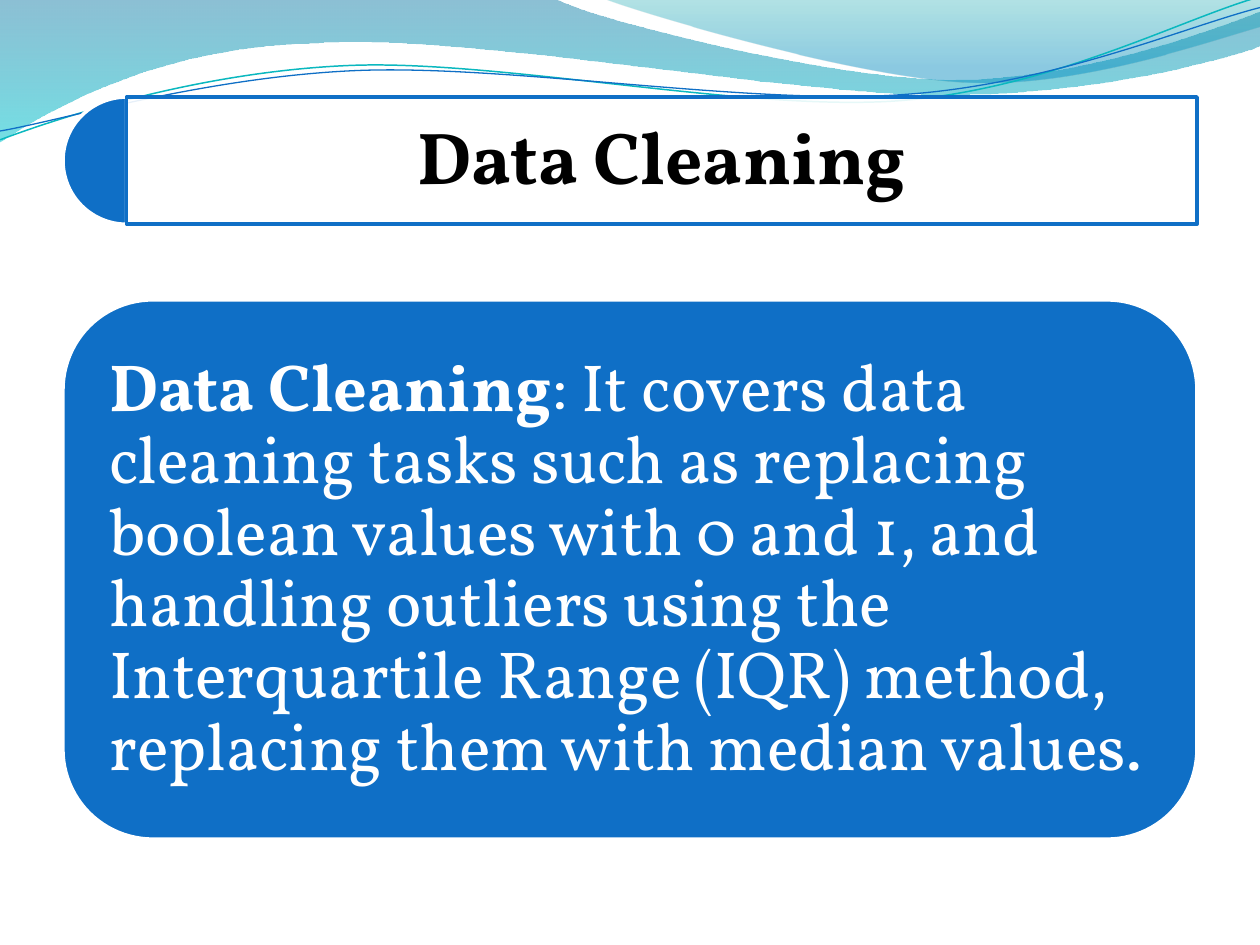
from math import cos, radians, sin

from lxml import etree
from pptx import Presentation
from pptx.dml.color import RGBColor
from pptx.enum.shapes import MSO_SHAPE
from pptx.enum.text import MSO_ANCHOR, MSO_AUTO_SIZE, PP_ALIGN
from pptx.oxml.ns import qn
from pptx.util import Inches, Pt

COLORS = {
    "blue": "0F6FC6", "teal": "0AB8BF", "white": "FFFFFF", "black": "000000",
    "wave_top": "0074A1", "wave_bottom": "00C6CF",
    "crest_top": "00A1A9", "crest_bottom": "008BBF",
}
FONT = "Vollkorn"
LINE_TILT = -2.7
LINE_CENTER = (4.99, 0.58)

# Each outline is a start point, then segments of one point (line) or three (curve)
WAVE = [[(0, 0)], [(4.4, -0.01)],
        [(4.76, 0.17), (6.64, 0.63), (7.58, 0.63)],
        [(8.53, 0.63), (9.58, 0.26), (10, 0.09)], [(10.01, 0.36)],
        [(9.83, 0.44), (8.7, 0.76), (7.46, 0.75)],
        [(6.22, 0.75), (3.82, 0.28), (2.57, 0.34)],
        [(1.29, 0.36), (0.46, 0.83), (-0.01, 1.13)]]
CREST = [[(4.79, -0.01)], [(5.09, 0.11), (6.82, 0.62), (7.69, 0.65)],
         [(8.56, 0.69), (9.61, 0.32), (10, 0.21)], [(10, 0)]]
TEAL_LINE = [[(0, 1.11)], [(0.48, 0.93), (1.58, 0.57), (2.77, 0.52)],
             [(3.95, 0.47), (5.93, 0.89), (7.13, 0.8)],
             [(8.33, 0.71), (9.38, 0.15), (9.98, -0.02)]]
BLUE_LINE = [[(0, 1.04)], [(0.47, 0.96), (1.64, 0.61), (2.83, 0.56)],
             [(4.03, 0.51), (5.97, 0.84), (7.17, 0.75)],
             [(8.36, 0.67), (9.41, 0.21), (10, 0.06)]]


def rgb(name):
    return RGBColor.from_string(COLORS[name])


def set_alpha(parent, percent):
    for color in parent.iter(qn("a:srgbClr")):
        etree.SubElement(color, qn("a:alpha"), val=str(percent * 1000))


def fill_and_line(sp, fill, line, width):
    sp.fill.solid()
    sp.fill.fore_color.rgb = rgb(fill)
    sp.line.color.rgb = rgb(line)
    sp.line.width = Pt(width)


def level(outline):
    """Take the tilt out of an outline, so that the shape can carry it."""
    cx, cy = LINE_CENTER
    c, n = cos(radians(-LINE_TILT)), sin(radians(-LINE_TILT))
    return [[(cx + (x - cx) * c - (y - cy) * n, cy + (x - cx) * n + (y - cy) * c)
             for x, y in segment] for segment in outline]


def add_outline(s, outline, left, top, close):
    segments = [[(Inches(left + x), Inches(top + y)) for x, y in segment]
                for segment in outline]
    builder = s.shapes.build_freeform(*segments[0][0])
    builder.add_line_segments([segment[-1] for segment in segments[1:]], close=close)
    sp = builder.convert_to_shape()
    sp.shadow.inherit = False
    # Bend the straight segments that have control points
    steps = list(sp.element.iter(qn("a:lnTo")))
    for step, segment in zip(steps, segments[1:]):
        if len(segment) == 3:
            curve = etree.Element(qn("a:cubicBezTo"))
            for x, y in segment:
                etree.SubElement(curve, qn("a:pt"), x=str(x - sp.left), y=str(y - sp.top))
            step.getparent().replace(step, curve)
    return sp


def add_waves(s, left, top):
    # Gradient bands: colour, position and opacity of each stop
    for outline, stops in (
        (WAVE, (("wave_top", 0, 45), ("wave_bottom", 1, 55))),
        (CREST, (("crest_top", 0, 30), ("crest_bottom", 0.8, 45))),
    ):
        sp = add_outline(s, outline, left, top, True)
        sp.line.fill.background()
        sp.fill.gradient()
        sp.fill.gradient_angle = 270
        for stop, (color, position, opacity) in zip(sp.fill.gradient_stops, stops):
            stop.color.rgb = rgb(color)
            stop.position = position
            set_alpha(stop._gs, opacity)
    # Thin lines
    for outline, color, width in ((TEAL_LINE, "teal", 0.85), (BLUE_LINE, "blue", 0.75)):
        sp = add_outline(s, level(outline), left, top, False)
        sp.rotation = LINE_TILT
        sp.fill.background()
        sp.line.color.rgb = rgb(color)
        sp.line.width = Pt(width)


def write_text(sp, runs, size, color, align, inset):
    tf = sp.text_frame
    margins = {f"margin_{side}": Inches(inset)
               for side in ("left", "top", "right", "bottom")}
    for name, value in {"word_wrap": True, "auto_size": MSO_AUTO_SIZE.NONE,
                        "vertical_anchor": MSO_ANCHOR.MIDDLE, **margins}.items():
        setattr(tf, name, value)
    p = tf.paragraphs[0]
    p.alignment = align
    p.line_spacing = 0.9
    p.space_before = Pt(0)
    for text, bold in runs:
        r = p.add_run()
        r.text = text
        for name, value in {"name": FONT, "size": Pt(size), "bold": bold}.items():
            setattr(r.font, name, value)
        r.font.color.rgb = rgb(color)


def add_title(s, left, top, width, height):
    # Half disc on the left, as wide as the bar is high
    pie = s.shapes.add_shape(MSO_SHAPE.PIE, Inches(left), Inches(top),
                             Inches(height), Inches(height))
    pie.adjustments[0], pie.adjustments[1] = 54, 162
    pie.shadow.inherit = False
    fill_and_line(pie, "blue", "white", 2)
    # Title bar, brought in front of the waves
    title = s.shapes.title
    title.element.getparent().append(title.element)
    box = {"left": left + height / 2, "top": top,
           "width": width - height / 2, "height": height}
    for name, value in box.items():
        setattr(title, name, Inches(value))
    fill_and_line(title, "white", "blue", 2)
    set_alpha(title.element.spPr.find(qn("a:solidFill")), 90)
    write_text(title, [("Data Cleaning", True)], 42, "black", PP_ALIGN.CENTER, 0.17)


def add_card(s, left, top, width, height):
    card = s.shapes.add_shape(MSO_SHAPE.ROUNDED_RECTANGLE, Inches(left), Inches(top),
                              Inches(width), Inches(height))
    card.shadow.inherit = False
    fill_and_line(card, "blue", "white", 2)
    runs = [
        ("Data Cleaning", True),
        (": It covers data cleaning tasks such as replacing boolean values with 0 and 1, "
         "and handling outliers using the Interquartile Range (IQR) method, "
         "replacing them with median values.", False),
    ]
    write_text(card, runs, 38, "white", PP_ALIGN.LEFT, 0.16)


def main():
    prs = Presentation()
    prs.slide_width, prs.slide_height = Inches(10), Inches(7.5)
    s = prs.slides.add_slide(prs.slide_layouts[5])
    add_waves(s, 0, 0)
    add_title(s, 0.5, 0.77, 9, 1.01)
    add_card(s, 0.5, 2.38, 9, 4.28)
    prs.save("out.pptx")


if __name__ == "__main__":
    main()
